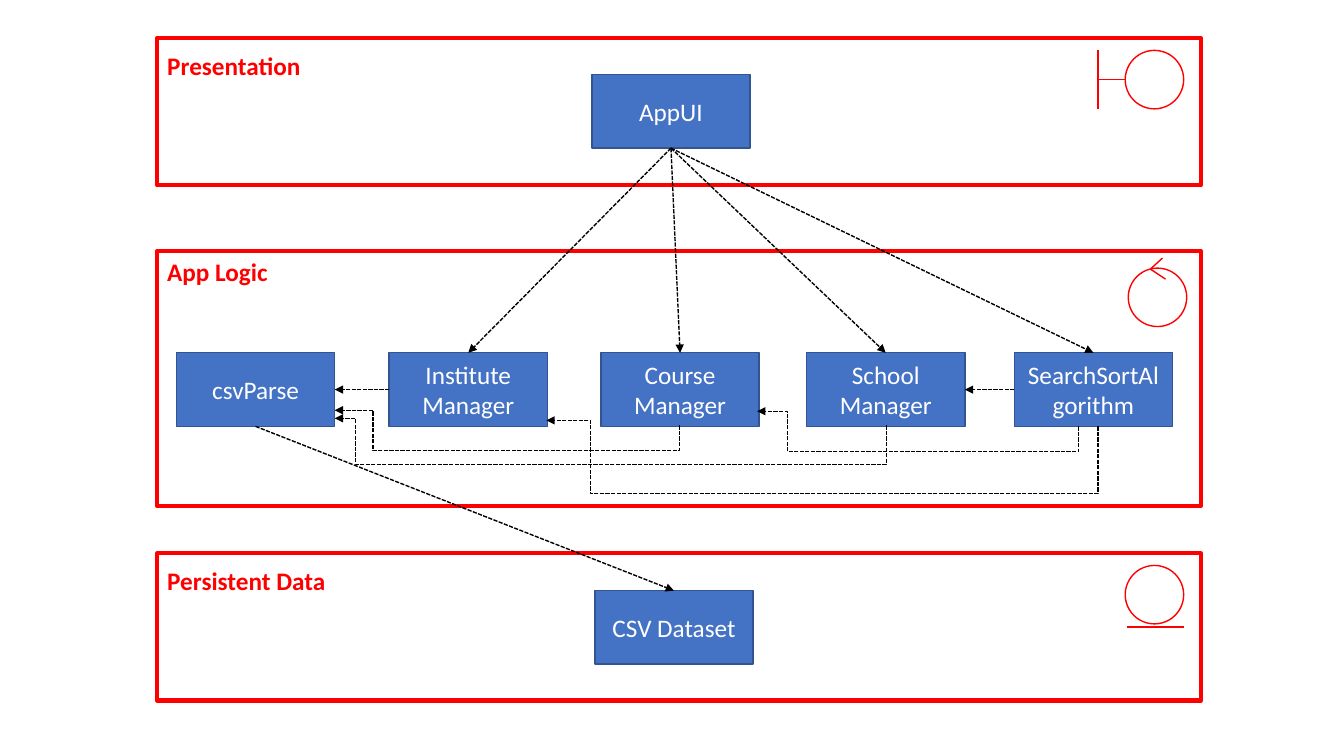
"""Build a three-layer application architecture diagram."""
from lxml import etree
from pptx import Presentation
from pptx.dml.color import RGBColor
from pptx.enum import dml, shapes, text
from pptx.oxml.ns import qn
from pptx.util import Inches, Pt

RED, BLUE, NAVY, WHITE, BLACK = "FF0000", "4472C4", "325491", "FFFFFF", "000000"
LAYER_X, LAYER_W = 1.56, 10.35
BOX_W, BOX_H, ICON = 1.57, 0.73, 0.58
TOP, LEFT, BOTTOM, RIGHT = range(4)

# name, top, height, label inset
LAYERS = [("Presentation", 0.38, 1.46, 0.12),
          ("App Logic", 2.49, 2.53, 0.05),
          ("Persistent Data", 5.49, 1.46, 0.12)]
BOXES = {"AppUI": (5.87, 0.74), "csvParse": (1.75, 3.5),
         "Institute Manager": (3.86, 3.5), "Course Manager": (5.96, 3.5),
         "School Manager": (8, 3.5), "SearchSortAlgorithm": (10.06, 3.5),
         "CSV Dataset": (5.9, 5.86)}
ARROWS = [("AppUI", BOTTOM, "Institute Manager", TOP),
          ("AppUI", BOTTOM, "Course Manager", TOP),
          ("AppUI", BOTTOM, "School Manager", TOP),
          ("AppUI", BOTTOM, "SearchSortAlgorithm", TOP),
          ("csvParse", BOTTOM, "CSV Dataset", TOP),
          ("Institute Manager", LEFT, "csvParse", RIGHT),
          ("SearchSortAlgorithm", LEFT, "School Manager", RIGHT)]
# start x, start y, lowest y, riser x, end x, end y
ELBOWS = [(6.74, 4.22, 4.47, 3.7, 3.32, 4.07),
          (8.79, 4.22, 4.61, 3.53, 3.32, 4.15),
          (10.7, 4.23, 4.48, 7.81, 7.51, 4.08),
          (10.89, 4.23, 4.9, 5.86, 5.42, 4.17)]
CIRCLES = [(11.16, 0.5), (11.19, 2.66), (11.16, 5.61)]
STROKES = [(11.16, 0.79, 10.89, 0.79), (10.89, 1.08, 10.89, 0.5),
           (11.53, 2.56, 11.41, 2.67), (11.41, 2.67, 11.56, 2.77),
           (11.74, 6.22, 11.18, 6.22)]


def rgb(value):
    """Turn a hex string into a colour."""
    return RGBColor.from_string(value)


def add_shape(kind, x, y, w, h, line, width=1, fill=None):
    """Add a preset shape with a plain outline and optional fill."""
    sp = s.shapes.add_shape(kind, *map(Inches, (x, y, w, h)))
    sp.shadow.inherit = False
    sp.line.color.rgb = rgb(line)
    sp.line.width = Pt(width)
    if fill:
        sp.fill.solid()
        sp.fill.fore_color.rgb = rgb(fill)
    else:
        sp.fill.background()
    return sp


def write(sp, words, color, bold=False, align=text.PP_ALIGN.CENTER,
          anchor=text.MSO_ANCHOR.MIDDLE, inset=0.05):
    """Write one formatted paragraph into a shape."""
    tf = sp.text_frame
    tf.word_wrap, tf.vertical_anchor, tf.margin_top = True, anchor, Inches(inset)
    p = tf.paragraphs[0]
    p.alignment = align
    r = p.add_run()
    r.text = words
    r.font.name, r.font.size, r.font.bold = "Calibri", Pt(18), bold
    r.font.color.rgb = rgb(color)


def add_line(x1, y1, x2, y2, color=BLACK, arrow=True,
             kind=shapes.MSO_CONNECTOR.STRAIGHT):
    """Add a connector, dashed and arrow-tipped when it is an arrow."""
    c = s.shapes.add_connector(kind, *map(Inches, (x1, y1, x2, y2)))
    c.line.color.rgb = rgb(color)
    c.line.width = Pt(1)
    if arrow:
        c.line.dash_style = dml.MSO_LINE.SQUARE_DOT
        etree.SubElement(c.line._get_or_add_ln(), qn("a:tailEnd"), type="triangle")
    etree.SubElement(c._element.spPr, qn("a:effectLst"))
    return c


def add_elbow(x1, y1, low, riser, x2, y2):
    """Add an arrow that drops, runs left, rises and ends leftwards."""
    w, h = y1 - y2, x1 - x2
    left, top = (x1 + x2 - w) / 2, (y1 + y2 - h) / 2
    c = add_line(left, top, left + w, top + h, kind=shapes.MSO_CONNECTOR.ELBOW)
    xfrm = c._element.spPr.find(qn("a:xfrm"))
    xfrm.set("rot", str(90 * 60000))
    xfrm.set("flipH", "1")
    geom = c._element.spPr.find(qn("a:prstGeom"))
    geom.set("prst", "bentConnector4")
    guides = geom.find(qn("a:avLst"))
    for i, ratio in enumerate(((y1 - low) / w, (x1 - riser) / h), 1):
        etree.SubElement(guides, qn("a:gd"), name=f"adj{i}",
                         fmla=f"val {round(ratio * 100000)}")


prs = Presentation()
prs.slide_width, prs.slide_height = Inches(13.33), Inches(7.5)
s = prs.slides.add_slide(prs.slide_layouts[6])

for name, y, h, inset in LAYERS:
    layer = add_shape(shapes.MSO_SHAPE.RECTANGLE, LAYER_X, y, LAYER_W, h, RED, 3)
    write(layer, name, RED, bold=True, align=text.PP_ALIGN.LEFT,
          anchor=text.MSO_ANCHOR.TOP, inset=inset)

boxes = {}
for name, (x, y) in BOXES.items():
    boxes[name] = add_shape(shapes.MSO_SHAPE.RECTANGLE, x, y, BOX_W, BOX_H,
                            NAVY, fill=BLUE)
    write(boxes[name], name, WHITE)

for source, out, target, into in ARROWS:
    arrow = add_line(0, 0, 1, 1)
    arrow.begin_connect(boxes[source], out)
    arrow.end_connect(boxes[target], into)
for elbow in ELBOWS:
    add_elbow(*elbow)

for x, y in CIRCLES:
    add_shape(shapes.MSO_SHAPE.OVAL, x, y, ICON, ICON, RED)
for stroke in STROKES:
    add_line(*stroke, color=RED, arrow=False)

prs.save("out.pptx")
